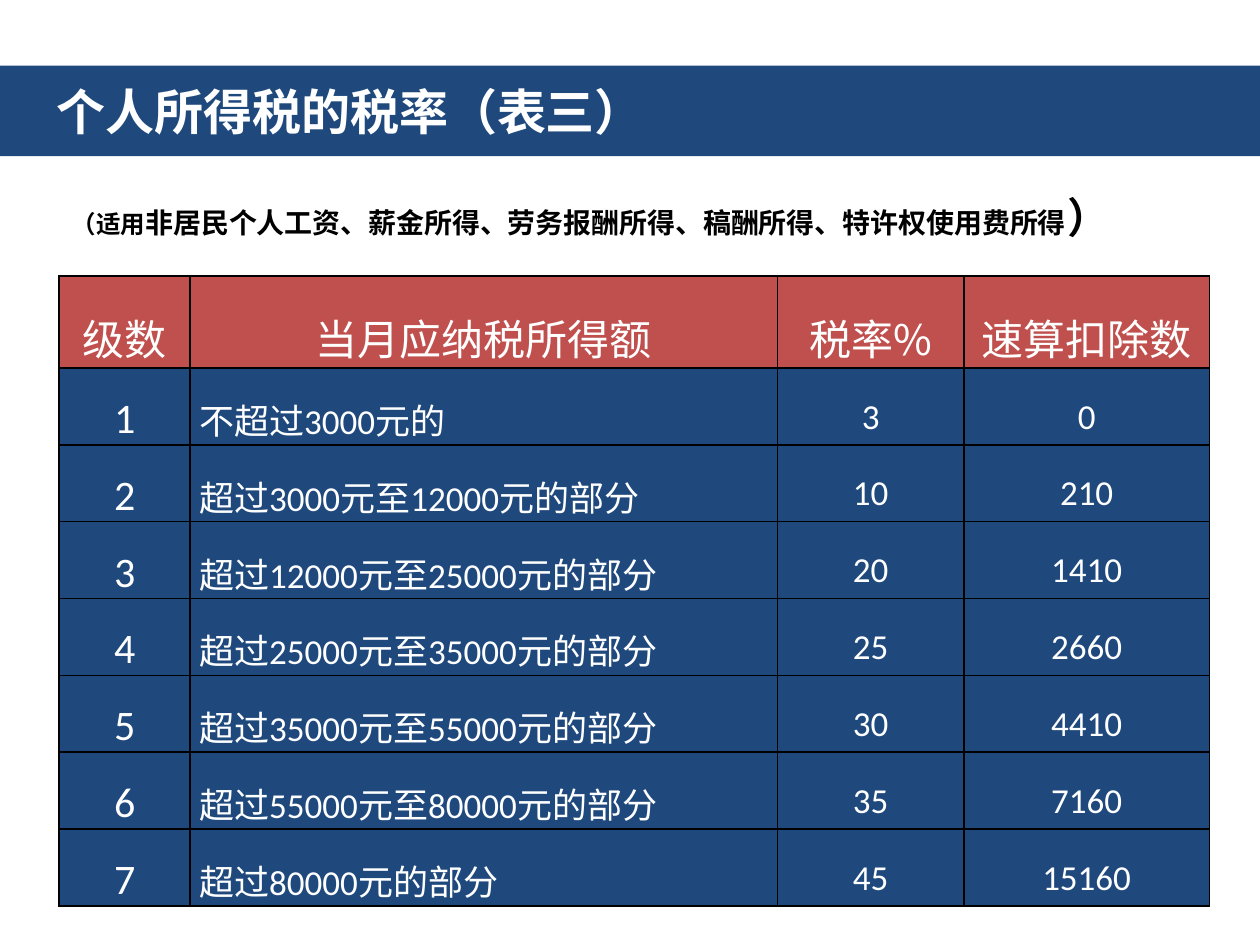
from dataclasses import dataclass

from lxml import etree
from pptx import Presentation
from pptx.dml.color import RGBColor
from pptx.enum.text import MSO_ANCHOR, MSO_AUTO_SIZE, PP_ALIGN
from pptx.oxml.ns import qn
from pptx.util import Inches, Pt

LEFT, CENTER, JUST = PP_ALIGN.LEFT, PP_ALIGN.CENTER, PP_ALIGN.JUSTIFY
MIDDLE = MSO_ANCHOR.MIDDLE


@dataclass(frozen=True)
class Theme:
    navy: str = "1F497D"
    red: str = "C0504D"
    white: str = "FFFFFF"
    black: str = "000000"
    latin: str = "Calibri"
    cjk: str = "Noto Sans CJK SC"
    title: int = 28
    large: int = 24
    body: int = 20
    border: int = 1


T = Theme()

# Content
TITLE = "个人所得税的税率（表三）"
SCOPE = [
    ("（适用", 14),
    ("非居民个人工资、薪金所得、劳务报酬所得、稿酬所得、特许权使用费所得", 16),
    ("）", 24),
]
HEAD = ("级数", "当月应纳税所得额", "税率%", "速算扣除数")
RATES = [
    ("不超过3000元的", 3, 0),
    ("超过3000元至12000元的部分", 10, 210),
    ("超过12000元至25000元的部分", 20, 1410),
    ("超过25000元至35000元的部分", 25, 2660),
    ("超过35000元至55000元的部分", 30, 4410),
    ("超过55000元至80000元的部分", 35, 7160),
    ("超过80000元的部分", 45, 15160),
]

# Layout in inches
WIDE, HIGH = 10, 7.5
EDGE = 0.47
COLS = (1.04, 4.66, 1.48, 1.95)
ROWS = (0.73, *[0.61] * len(RATES))
PAD = 0.07


def place(shape, *box):
    shape.left, shape.top, shape.width, shape.height = map(Inches, box)


def style(para, color, latin, size=None, bold=False, align=LEFT):
    para.alignment = align
    font = para.font
    font.name = latin
    font.bold = bold
    font.color.rgb = RGBColor.from_string(color)
    if size:
        font.size = Pt(size)
    props = para._p.pPr.find(qn("a:defRPr"))
    etree.SubElement(props, qn("a:ea"), typeface=T.cjk)


def outline(cell):
    props = cell._tc.get_or_add_tcPr()
    for side in ("lnL", "lnR", "lnT", "lnB"):
        line = etree.SubElement(props, qn("a:" + side), w=str(Pt(T.border)))
        fill = etree.SubElement(line, qn("a:solidFill"))
        etree.SubElement(fill, qn("a:srgbClr"), val=T.black)


def fill_cell(cell, text, back, latin, size, align):
    outline(cell)
    cell.fill.solid()
    cell.fill.fore_color.rgb = RGBColor.from_string(back)
    cell.vertical_anchor = MIDDLE
    cell.margin_left = cell.margin_right = Inches(PAD)
    cell.margin_top = cell.margin_bottom = 0
    para = cell.text_frame.paragraphs[0]
    para.text = str(text)
    para.line_spacing = 1.5
    style(para, T.white, latin, size, align=align)


def add_title(slide):
    band = slide.shapes.title
    place(band, 0, 0.52, WIDE, 0.72)
    band.fill.solid()
    band.fill.fore_color.rgb = RGBColor.from_string(T.navy)
    frame = band.text_frame
    frame.text = TITLE
    frame.auto_size = MSO_AUTO_SIZE.NONE
    frame.vertical_anchor = MIDDLE
    frame.margin_left = Inches(0.45)
    style(frame.paragraphs[0], T.white, T.cjk, T.title, bold=True)


def add_scope(slide):
    box = slide.shapes.add_textbox(*map(Inches, (EDGE, 1.47, 9.65, 0.5)))
    box.text_frame.word_wrap = True
    para = box.text_frame.paragraphs[0]
    style(para, T.black, T.cjk, bold=True)
    for text, size in SCOPE:
        run = para.add_run()
        run.text = text
        run.font.size = Pt(size)


def add_rates(slide):
    box = map(Inches, (EDGE, 2.19, sum(COLS), sum(ROWS)))
    table = slide.shapes.add_table(len(ROWS), len(COLS), *box).table
    for col, width in zip(table.columns, COLS):
        col.width = Inches(width)
    for row, height in zip(table.rows, ROWS):
        row.height = Inches(height)
    for c, text in enumerate(HEAD):
        fill_cell(table.cell(0, c), text, T.red, T.cjk, T.large, CENTER)
    for r, rate in enumerate(RATES, 1):
        for c, text in enumerate((r, *rate)):
            size = T.large if c == 0 else T.body
            align = JUST if c == 1 else CENTER
            fill_cell(table.cell(r, c), text, T.navy, T.latin, size, align)


def main():
    deck = Presentation()
    deck.slide_width, deck.slide_height = Inches(WIDE), Inches(HIGH)
    slide = deck.slides.add_slide(deck.slide_layouts[5])
    add_title(slide)
    add_scope(slide)
    add_rates(slide)
    deck.save("out.pptx")


if __name__ == "__main__":
    main()
